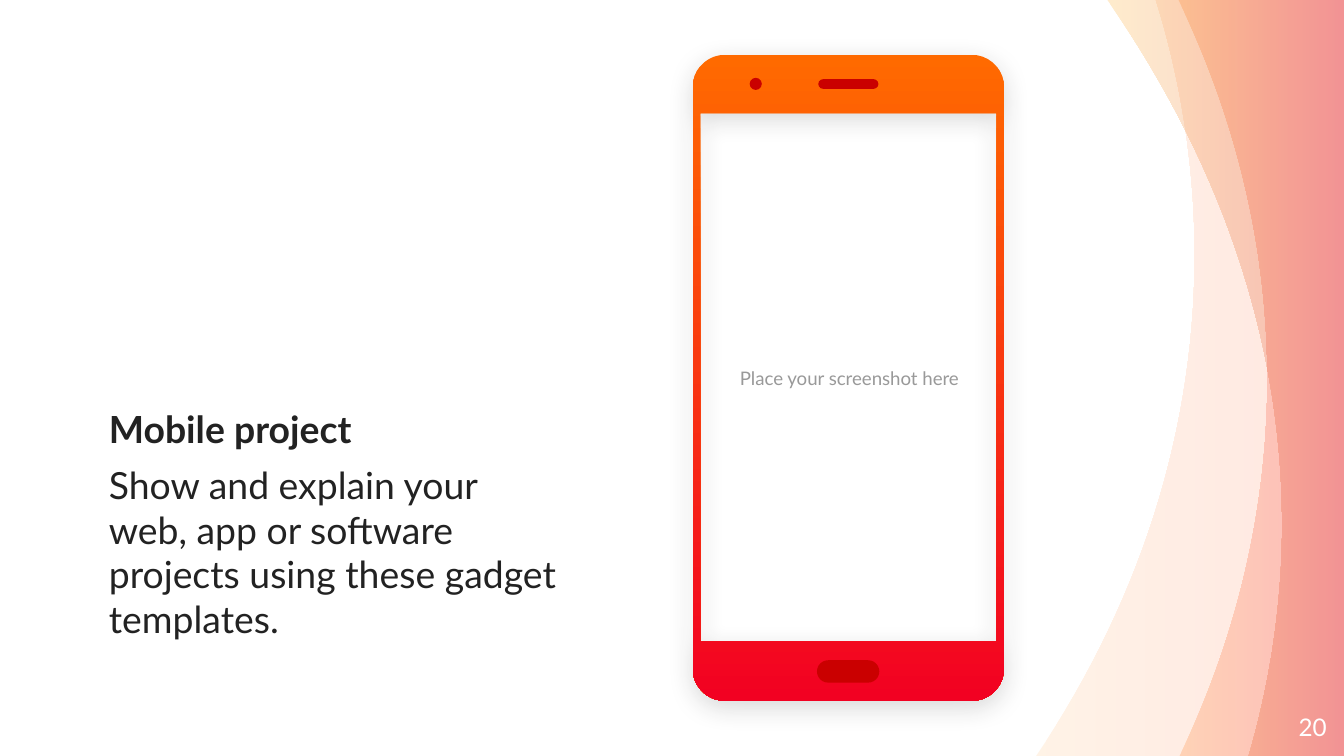
from math import cos, radians, sin

from lxml.etree import SubElement
from pptx import Presentation
from pptx.dml.color import RGBColor
from pptx.enum.shapes import MSO_SHAPE
from pptx.enum.text import MSO_ANCHOR, MSO_AUTO_SIZE, PP_ALIGN
from pptx.oxml.ns import qn
from pptx.util import Pt

COLORS = {
    "text": "222222", "hint": "999999", "white": "FFFFFF", "detail": "CA0000",
    "orange": "FF6A00", "red": "F20122", "peach": "FFC486", "coral": "FF866B",
    "amber": "FF9F00", "crimson": "CC0000",
}
FONT = "Lato"
WIDTH, HEIGHT = 720, 405


def gradient_outline(shapes, contours, colors, angle):
    """Draw closed contours, in points, as one shape with a two-color gradient."""
    builder = shapes.build_freeform(Pt(contours[0][0][0]), Pt(contours[0][0][1]), scale=1)
    for index, contour in enumerate(contours):
        if index:
            builder.move_to(Pt(contour[0][0]), Pt(contour[0][1]))
        builder.add_line_segments([(Pt(x), Pt(y)) for x, y in contour[1:]], close=True)
    shape = builder.convert_to_shape()
    shape.fill.gradient()
    shape.fill.gradient_angle = angle
    for stop, position, color in zip(shape.fill.gradient_stops, (0, 1), colors):
        stop.position = position
        stop.color.rgb = RGBColor.from_string(COLORS[color])
    shape.line.fill.background()
    shape.shadow.inherit = False
    return shape


def format_text(frame, size, color, anchor, margin=0, align=PP_ALIGN.LEFT):
    frame.word_wrap = True
    frame.auto_size = MSO_AUTO_SIZE.NONE
    frame.vertical_anchor = anchor
    frame.margin_left = frame.margin_right = Pt(margin)
    frame.margin_top = frame.margin_bottom = Pt(margin)
    for para in frame.paragraphs:
        para.alignment = align
        for span in para.runs:
            span.font.name = FONT
            span.font.size = Pt(size)
            span.font.color.rgb = RGBColor.from_string(COLORS[color])


deck = Presentation()
deck.slide_width, deck.slide_height = Pt(WIDTH), Pt(HEIGHT)
page = deck.slides.add_slide(deck.slide_layouts[1])
title = page.shapes.title
title.element.getparent().remove(title.element)

# Translucent waves: two Bezier curves each, bottom to middle to top
waves = [
    (((555.1, HEIGHT), (609.8, 324), (640, 232.6), (640, 136.8)),
     ((640, 136.8), (640, 90), (632.9, 43.9), (619.2, 0)), ("peach", "coral")),
    (((632, HEIGHT), (662.4, 342), (679, 273.6), (679, 203)),
     ((679, 203), (679, 132.5), (662.4, 64.1), (631.4, 0)), ("orange", "red")),
    (((669, HEIGHT), (680.4, 365.8), (686.9, 324), (686.9, 280.8)),
     ((686.9, 280.8), (686.9, 180.7), (653, 85.7), (593.3, 0)), ("amber", "crimson")),
]
STEPS = 30
for lower, upper, colors in waves:
    edge = []
    for curve in (lower, upper):
        for step in range(STEPS + 1):
            t = step / STEPS
            weights = ((1 - t) ** 3, 3 * t * (1 - t) ** 2, 3 * t * t * (1 - t), t ** 3)
            edge.append(tuple(sum(w * point[axis] for w, point in zip(weights, curve))
                              for axis in (0, 1)))
    wave = gradient_outline(page.shapes, [edge + [(WIDTH, 0), (WIDTH, HEIGHT)]], colors, 0)
    for color in wave.element.iter(qn("a:srgbClr")):
        SubElement(color, qn("a:alpha"), val="20000")

# Description
body = page.placeholders[1]
body.left, body.top, body.width, body.height = Pt(58.3), Pt(67), Pt(242.6), Pt(276.5)
frame = body.text_frame
frame.text = ("Mobile project\nShow and explain your web, app or software "
              "projects using these gadget templates.")
format_text(frame, 20, "text", MSO_ANCHOR.BOTTOM)
for para in frame.paragraphs:
    para.space_before = Pt(6)
    properties = para._p.get_or_add_pPr()
    properties.set("marL", "0")
    properties.set("indent", "0")
    SubElement(properties, qn("a:buNone"))
frame.paragraphs[0].runs[0].font.bold = True

# Screen hint and page number
labels = [
    ("Place your screenshot here", (375.8, 62, 158.4, 281.5), 10, "hint", 7.2, PP_ALIGN.CENTER),
    ("20", (667.5, 374, 43.2, 31), 13, "white", 0, PP_ALIGN.RIGHT),
]
for text, bounds, size, color, margin, align in labels:
    box = page.shapes.add_textbox(*map(Pt, bounds))
    box.text_frame.text = text
    format_text(box.text_frame, size, color, MSO_ANCHOR.MIDDLE, margin, align)

# Phone case: rounded outline with an open screen
left, top, right, bottom, radius = 371.1, 29.4, 537.9, 375.5, 17.3
corners = [
    (right - radius, bottom - radius, 0), (left + radius, bottom - radius, 90),
    (left + radius, top + radius, 180), (right - radius, top + radius, 270),
]
case = [(x + radius * cos(radians(start + turn)), y + radius * sin(radians(start + turn)))
        for x, y, start in corners for turn in range(0, 91, 10)]
screen = [(534, 60.7), (534, 343.8), (375.1, 343.8), (375.1, 60.7)]
phone = gradient_outline(page.shapes, [screen, case], ("orange", "red"), 270)
effects = phone.element.spPr.find(qn("a:effectLst"))
shadow = SubElement(effects, qn("a:outerShdw"), blurRad=str(Pt(13.5)), dist=str(Pt(3.8)),
                    dir="5400000", algn="ctr", rotWithShape="0")
shadow_color = SubElement(shadow, qn("a:srgbClr"), val=COLORS["text"])
SubElement(shadow_color, qn("a:alpha"), val="16000")

# Home button, camera and speaker
details = [
    (MSO_SHAPE.ROUNDED_RECTANGLE, (437.7, 353.7, 33.4, 12)),
    (MSO_SHAPE.OVAL, (401.6, 41.7, 6.5, 6.5)),
    (MSO_SHAPE.ROUNDED_RECTANGLE, (438.4, 42.4, 32.2, 5.2)),
]
for kind, bounds in details:
    detail = page.shapes.add_shape(kind, *map(Pt, bounds))
    if kind == MSO_SHAPE.ROUNDED_RECTANGLE:
        detail.adjustments[0] = 0.5
    detail.fill.solid()
    detail.fill.fore_color.rgb = RGBColor.from_string(COLORS["detail"])
    detail.line.fill.background()
    detail.shadow.inherit = False

deck.save("out.pptx")
